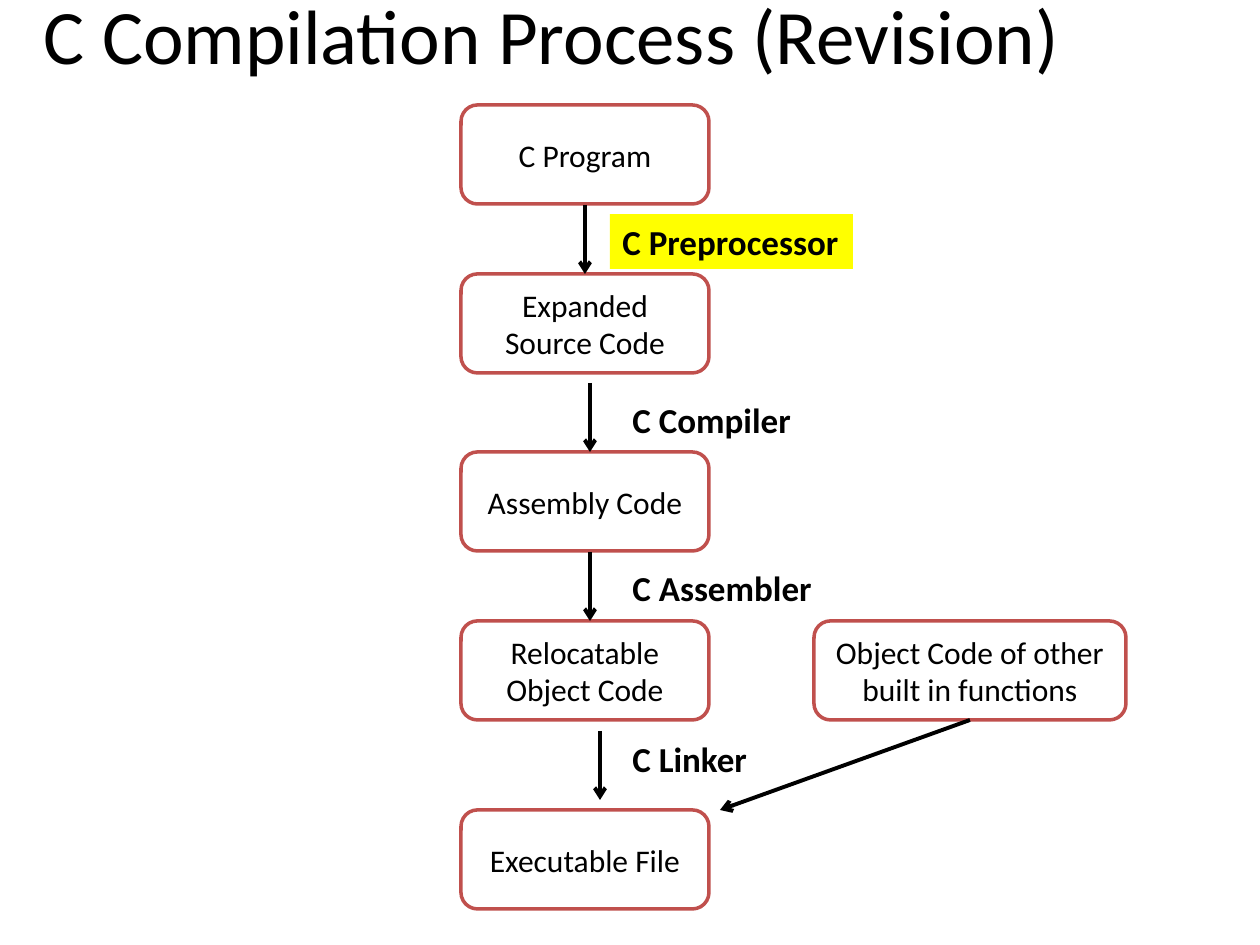
from lxml import etree
from pptx import Presentation
from pptx import util as u
from pptx.dml.color import RGBColor
from pptx.enum import shapes, text
from pptx.oxml.ns import qn

BLACK = RGBColor(0, 0, 0)
WHITE = RGBColor(255, 255, 255)
RED = RGBColor(0xC0, 0x50, 0x4D)
YELLOW = RGBColor(255, 255, 0)
PIXEL = u.Inches(1) // 126


def write(box, words, size=18, bold=False, align=text.PP_ALIGN.CENTER,
          anchor=text.MSO_ANCHOR.MIDDLE, wrap=True):
    frame = box.text_frame
    frame.word_wrap = wrap
    frame.vertical_anchor = anchor
    paragraph = frame.paragraphs[0]
    paragraph.alignment = align
    span = paragraph.add_run()
    span.text = words
    span.font.name = "Calibri"
    span.font.size = u.Pt(size)
    span.font.bold = bold
    span.font.color.rgb = BLACK


deck = Presentation()
deck.slide_width = 1260 * PIXEL
deck.slide_height = 945 * PIXEL
page = deck.slides.add_slide(deck.slide_layouts[6])

title = page.shapes.add_textbox(-15 * PIXEL, -34 * PIXEL, 1134 * PIXEL, 136 * PIXEL)
write(title, "C Compilation Process (Revision)", size=44)

stages = [
    ("C Program", 461, 105, 248),
    ("Expanded Source Code", 461, 274, 248),
    ("Assembly Code", 461, 452, 248),
    ("Relocatable Object Code", 461, 621, 248),
    ("Executable File", 461, 810, 248),
    ("Object Code of other built in functions", 814, 621, 312),
]
for words, left, top, width in stages:
    stage = page.shapes.add_shape(
        shapes.MSO_SHAPE.ROUNDED_RECTANGLE,
        left * PIXEL, top * PIXEL, width * PIXEL, 99 * PIXEL)
    stage.shadow.inherit = False
    stage.fill.solid()
    stage.fill.fore_color.rgb = WHITE
    stage.line.color.rgb = RED
    stage.line.width = u.Pt(2)
    write(stage, words)

tools = [
    ("C Preprocessor", 610, 214, 243, YELLOW),
    ("C Compiler", 620, 392, 185, None),
    ("C Assembler", 620, 560, 207, None),
    ("C Linker", 620, 731, 141, None),
]
for words, left, top, width, color in tools:
    label = page.shapes.add_textbox(left * PIXEL, top * PIXEL, width * PIXEL, 55 * PIXEL)
    if color:
        label.fill.solid()
        label.fill.fore_color.rgb = color
    write(label, words, size=20, bold=True, align=text.PP_ALIGN.LEFT,
          anchor=text.MSO_ANCHOR.TOP, wrap=False)
    label.text_frame.auto_size = text.MSO_AUTO_SIZE.SHAPE_TO_FIT_TEXT

arrows = [
    (585, 205, 585, 274),
    (590, 383, 590, 452),
    (590, 552, 590, 621),
    (600, 731, 600, 800),
    (970, 720, 720, 810),
]
for ends in arrows:
    arrow = page.shapes.add_connector(
        shapes.MSO_CONNECTOR.STRAIGHT, *[end * PIXEL for end in ends])
    arrow.line.color.rgb = BLACK
    arrow.line.width = u.Pt(2.25)
    etree.SubElement(arrow.line._get_or_add_ln(), qn("a:tailEnd"), type="arrow")
    etree.SubElement(arrow._element.spPr, qn("a:effectLst"))

deck.save("out.pptx")
